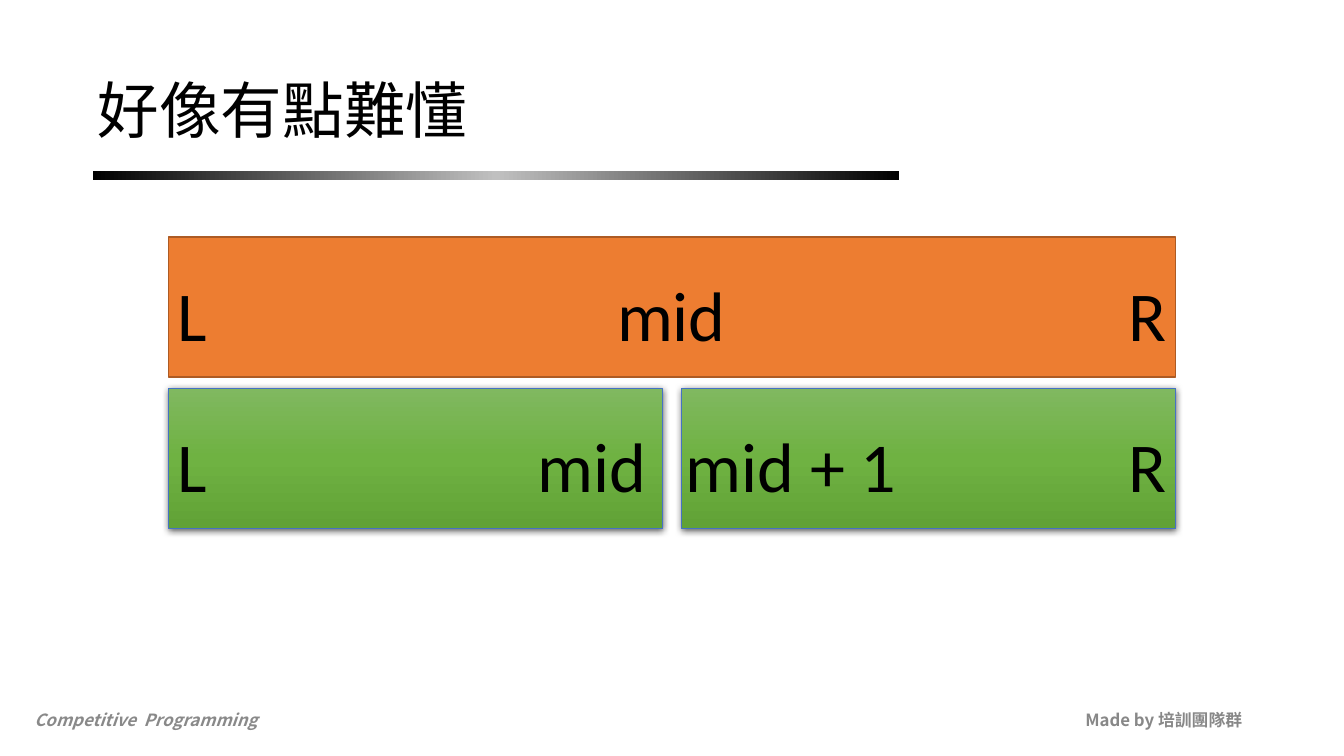
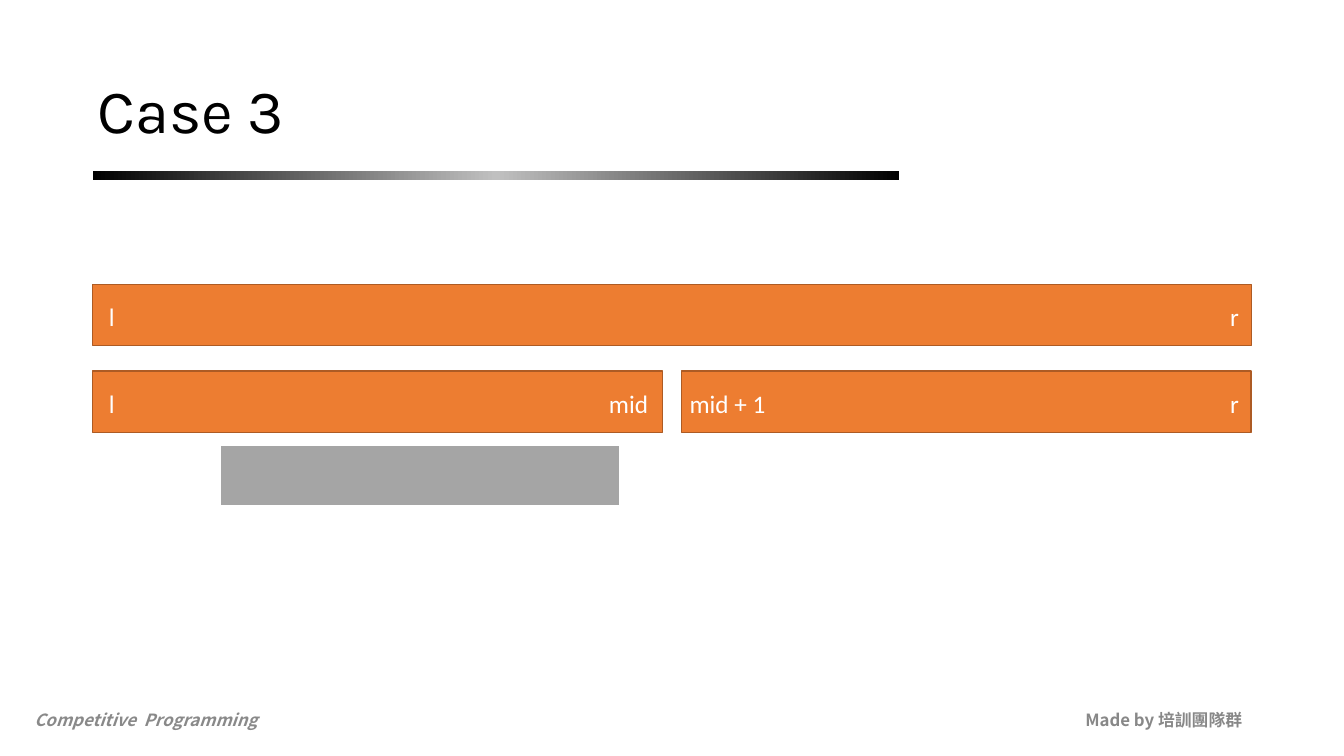
"""Build two slides that show how a range splits at its middle."""
from dataclasses import dataclass

from lxml.etree import SubElement
from pptx import Presentation
from pptx.dml.color import RGBColor
from pptx.enum.shapes import MSO_SHAPE
from pptx.enum.text import MSO_ANCHOR, MSO_AUTO_SIZE, PP_ALIGN
from pptx.oxml.ns import qn
from pptx.util import Inches, Pt


@dataclass(frozen=True)
class Theme:
    black: str = "000000"
    white: str = "FFFFFF"
    orange: str = "ED7D31"
    orange_edge: str = "AD5B24"
    blue_edge: str = "4472C4"
    gray: str = "A5A5A5"
    team_gray: str = "888888"
    course_gray: str = "898989"
    silver_fade: tuple = ("000000", "C0C0C0", "000000")
    green_fade: tuple = ("80B860", "6FB242", "61A236")
    title_font: str = "Karla"
    label_font: str = "Calibri"
    footer_font: str = "Noto Sans CJK SC"
    asian_font: str = "Noto Sans CJK SC"
    title_size: int = 44
    footer_size: int = 12
    large_label: int = 50
    small_label: int = 18


THEME = Theme()
GAP = 0.19
ORANGE = dict(fill=THEME.orange, edge=THEME.orange_edge, edge_width=1)
GREEN = dict(fade=THEME.green_fade, angle=90, edge=THEME.blue_edge,
             edge_width=0.5, shadow=True)
ANSWER = dict(fill=THEME.gray, edge=THEME.white, edge_width=1.5)

SLIDES = [
    dict(
        title="好像有點難懂", left=1.67, width=9.99, bar_height=1.39,
        size=THEME.large_label, color=THEME.black, label_height=0.81,
        rows=[
            dict(top=2.35, bars=1, style=ORANGE,
                 labels=[("L", 1.71, 0.41), ("mid", 6.07, 1.19), ("R", 11.14, 0.49)]),
            dict(top=3.85, bars=2, style=GREEN,
                 labels=[("L", 1.71, 0.41), ("mid", 5.28, 1.19),
                         ("mid + 1", 6.75, 2.2), ("R", 11.14, 0.49)]),
        ],
    ),
    dict(
        title="Case 3", left=0.92, width=11.49, bar_height=0.61,
        size=THEME.small_label, color=THEME.white, label_height=0.36,
        rows=[
            dict(top=2.82, bars=1, style=ORANGE,
                 labels=[("l", 1.03, 0.17), ("r", 12.15, 0.2)]),
            dict(top=3.68, bars=2, style=ORANGE,
                 labels=[("l", 1.03, 0.17), ("mid", 5.99, 0.5),
                         ("mid + 1", 6.79, 0.87), ("r", 12.15, 0.2)]),
            dict(top=4.41, left=2.18, width=3.97, bars=1, style=ANSWER, labels=[]),
        ],
    ),
]


def add_text(page, text, left, top, width, height, *, font, size, color,
             bold=False, italic=False, align=PP_ALIGN.LEFT,
             anchor=MSO_ANCHOR.MIDDLE, wrap=True, grow=False, spacing=None):
    box = page.shapes.add_textbox(Inches(left), Inches(top), Inches(width), Inches(height))
    frame = box.text_frame
    frame.margin_left = frame.margin_right = Inches(0.05)
    frame.margin_top = frame.margin_bottom = Inches(0.05)
    frame.vertical_anchor = anchor
    frame.word_wrap = wrap
    frame.auto_size = MSO_AUTO_SIZE.SHAPE_TO_FIT_TEXT if grow else MSO_AUTO_SIZE.NONE
    para = frame.paragraphs[0]
    para.alignment = align
    para.line_spacing = spacing
    span = para.add_run()
    span.text = text
    span.font.name = font
    span.font.size = Pt(size)
    span.font.bold = bold
    span.font.italic = italic
    span.font.color.rgb = RGBColor.from_string(color)
    latin = span.font._element.find(qn("a:latin"))
    asian = SubElement(span.font._element, qn("a:ea"), typeface=THEME.asian_font)
    latin.addnext(asian)


def fill_fade(shape, colors, angle):
    shape.fill.gradient()
    fade = shape._element.spPr.find(qn("a:gradFill"))
    for child in list(fade):
        fade.remove(child)
    stops = SubElement(fade, qn("a:gsLst"))
    for index, color in enumerate(colors):
        position = 100000 * index // (len(colors) - 1)
        stop = SubElement(stops, qn("a:gs"), pos=str(position))
        SubElement(stop, qn("a:srgbClr"), val=color)
    SubElement(fade, qn("a:lin"), ang=str(angle * 60000), scaled="0")


def add_shadow(shape):
    effects = shape._element.spPr.find(qn("a:effectLst"))
    outer = SubElement(effects, qn("a:outerShdw"), blurRad=str(Pt(5)),
                       dist=str(Pt(1.5)), dir="5400000", algn="ctr", rotWithShape="0")
    color = SubElement(outer, qn("a:srgbClr"), val=THEME.black)
    SubElement(color, qn("a:alpha"), val="63000")


def add_bar(page, left, top, width, height, *, fill=None, fade=None, angle=0,
            edge=None, edge_width=1, shadow=False):
    bar = page.shapes.add_shape(MSO_SHAPE.RECTANGLE, Inches(left), Inches(top),
                                Inches(width), Inches(height))
    if fade:
        fill_fade(bar, fade, angle)
    else:
        bar.fill.solid()
        bar.fill.fore_color.rgb = RGBColor.from_string(fill)
    if edge:
        bar.line.color.rgb = RGBColor.from_string(edge)
        bar.line.width = Pt(edge_width)
    else:
        bar.line.fill.background()
    bar.shadow.inherit = False
    if shadow:
        add_shadow(bar)


def add_frame(page, title):
    footer = dict(font=THEME.footer_font, size=THEME.footer_size, bold=True, grow=True)
    add_text(page, "Made by 培訓團隊群", 9.47, 7, 2.9, 0.29,
             color=THEME.team_gray, align=PP_ALIGN.RIGHT, **footer)
    add_text(page, "Competitive  Programming", 0.29, 7, 2.9, 0.29,
             color=THEME.course_gray, italic=True, **footer)
    add_bar(page, 0.92, 1.7, 8, 0.09, fade=THEME.silver_fade)
    add_text(page, title, 0.92, 0.4, 11.5, 1.45, font=THEME.title_font,
             size=THEME.title_size, color=THEME.black, spacing=0.9)


def add_row(page, content, row):
    left = row.get("left", content["left"])
    width = row.get("width", content["width"])
    height = content["bar_height"]
    bar_width = (width - GAP * (row["bars"] - 1)) / row["bars"]
    for index in range(row["bars"]):
        add_bar(page, left + index * (bar_width + GAP), row["top"], bar_width, height,
                **row["style"])
    label_top = row["top"] + (height - content["label_height"]) / 2
    for text, label_left, label_width in row["labels"]:
        add_text(page, text, label_left, label_top, label_width, content["label_height"],
                 font=THEME.label_font, size=content["size"], color=content["color"],
                 anchor=MSO_ANCHOR.TOP, wrap=False, grow=True)


def main():
    deck = Presentation()
    deck.slide_width, deck.slide_height = Inches(13.33), Inches(7.5)
    for content in SLIDES:
        page = deck.slides.add_slide(deck.slide_layouts[6])
        add_frame(page, content["title"])
        for row in content["rows"]:
            add_row(page, content, row)
    deck.save("out.pptx")


if __name__ == "__main__":
    main()
